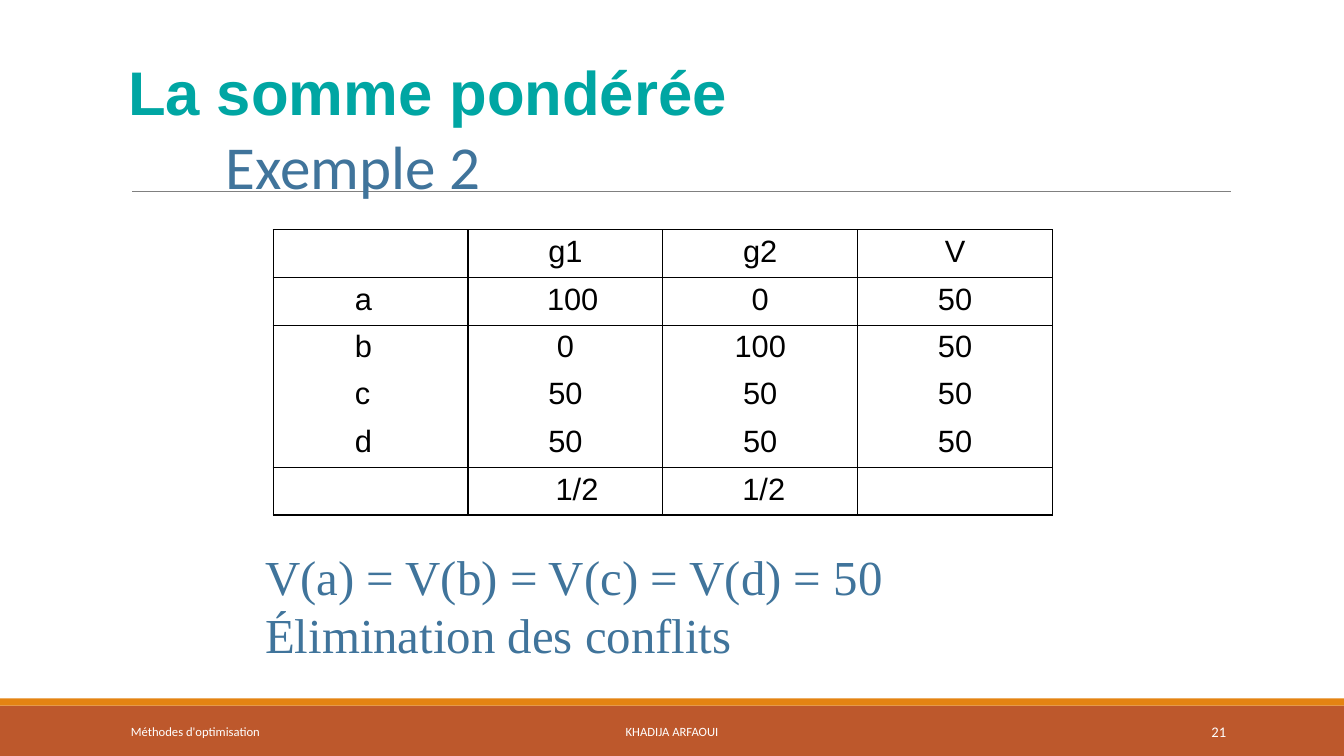
import lxml.etree
import pptx
import pptx.dml.color
import pptx.enum.shapes
import pptx.enum.text
import pptx.oxml.ns
import pptx.util
from dataclasses import dataclass

PX = 9144  # 100 px to the inch
ALIGN = pptx.enum.text.PP_ALIGN
ANCHOR = pptx.enum.text.MSO_ANCHOR
qn = pptx.oxml.ns.qn


@dataclass(frozen=True)
class Theme:
    teal: str = "00A6A3"
    blue: str = "40749B"
    rust: str = "BD582C"
    orange: str = "E48312"
    grey: str = "808080"
    black: str = "000000"
    white: str = "FFFFFF"
    sans: str = "Arial"
    humanist: str = "Calibri"
    serif: str = "Times New Roman"
    title_size: float = 44
    subtitle_size: float = 43.6
    table_size: float = 22
    conclusion_size: float = 34.9
    footer_size: float = 9
    number_size: float = 10.5


THEME = Theme()

SCORES = [
    ["", "g1", "g2", "V"],
    ["a", "100", "0", "50"],
    ["b", "0", "100", "50"],
    ["c", "50", "50", "50"],
    ["d", "50", "50", "50"],
    ["", "1/2", "1/2", ""],
]
ROW_HEIGHTS = [47, 48, 47, 47, 47, 47]
RULED_BELOW = {0, 1, 4, 5}
RIGHT_ALIGNED = {(1, 1), (5, 1)}


def px(*lengths):
    return [pptx.util.Emu(length * PX) for length in lengths]


def rgb(color):
    return pptx.dml.color.RGBColor.from_string(color)


def format_runs(paragraph, font, size, color, bold=False):
    for run in paragraph.runs:
        run.font.name = font
        run.font.size = pptx.util.Pt(size)
        run.font.color.rgb = rgb(color)
        run.font.bold = bold


def set_margins(target, left, top, right, bottom):
    (target.margin_left, target.margin_top,
     target.margin_right, target.margin_bottom) = px(left, top, right, bottom)


def add_bar(slide, box, color):
    bar = slide.shapes.add_shape(pptx.enum.shapes.MSO_SHAPE.RECTANGLE, *px(*box))
    bar.shadow.inherit = False
    bar.fill.solid()
    bar.fill.fore_color.rgb = rgb(color)
    bar.line.fill.background()


def add_text_box(slide, box, text):
    text_frame = slide.shapes.add_textbox(*px(*box)).text_frame
    text_frame.word_wrap = True
    text_frame.text = text
    return text_frame


def add_heading(slide, box):
    left, top, width, height = box
    # Rule under the title
    rule_y = top + 146
    rule = slide.shapes.add_connector(
        pptx.enum.shapes.MSO_CONNECTOR.STRAIGHT,
        *px(left + 199, rule_y, left + 1289, rule_y))
    rule.line.color.rgb = rgb(THEME.grey)
    rule.line.width = pptx.util.Pt(0.5)
    lxml.etree.SubElement(rule.element.spPr, qn("a:effectLst"))

    # Title in front of the rule
    title = slide.shapes.title
    title.element.getparent().append(title.element)
    title.left, title.top, title.width, title.height = px(*box)
    text_frame = title.text_frame
    text_frame.text = "La somme pondérée\vExemple 2"
    text_frame.auto_size = pptx.enum.text.MSO_AUTO_SIZE.NONE
    text_frame.vertical_anchor = ANCHOR.BOTTOM
    set_margins(text_frame, 0, 9, 0, 0)
    paragraph = text_frame.paragraphs[0]
    paragraph.alignment = ALIGN.LEFT
    paragraph.space_before = pptx.util.Pt(1)
    format_runs(paragraph, THEME.humanist, THEME.subtitle_size, THEME.blue)
    first_line = paragraph.runs[0].font
    first_line.name = THEME.sans
    first_line.size = pptx.util.Pt(THEME.title_size)
    first_line.color.rgb = rgb(THEME.teal)
    first_line.bold = True

    # Hanging indent: the second line starts further right
    properties = next(title.element.iter(qn("a:p"))).get_or_add_pPr()
    properties.set("marL", str(292 * PX))
    properties.set("indent", str(-97 * PX))


def add_border(cell_properties, side, visible):
    line = lxml.etree.SubElement(cell_properties, qn("a:ln" + side), w="12700")
    if visible:
        fill = lxml.etree.SubElement(line, qn("a:solidFill"))
        lxml.etree.SubElement(fill, qn("a:srgbClr"), val=THEME.black)
    else:
        lxml.etree.SubElement(line, qn("a:noFill"))


def add_score_table(slide, box):
    frame = slide.shapes.add_table(len(SCORES), len(SCORES[0]), *px(*box))
    table = frame.table
    table.first_row = table.horz_banding = False
    for column in table.columns:
        column.width = pptx.util.Emu(box[2] * PX // len(SCORES[0]))
    for row, height in zip(table.rows, ROW_HEIGHTS):
        row.height = pptx.util.Emu(height * PX)

    cell_elements = frame.element.iter(qn("a:tc"))
    for row, texts in enumerate(SCORES):
        for column, text in enumerate(texts):
            # Borders: every column, but not between b, c and d
            properties = next(cell_elements).get_or_add_tcPr()
            for side, visible in (("L", True), ("R", True),
                                  ("T", row == 0 or row - 1 in RULED_BELOW),
                                  ("B", row in RULED_BELOW)):
                add_border(properties, side, visible)
            cell = table.cell(row, column)
            cell.fill.background()

            # Value
            cell.text = text
            inner = 2 <= row <= 4
            left, right, alignment = 0, 0, ALIGN.CENTER
            if column == 0:
                left, alignment = 81, ALIGN.LEFT
            elif (row, column) in RIGHT_ALIGNED:
                right, alignment = 64, ALIGN.RIGHT
            elif (row, column) == (5, 2):
                left = 7
            set_margins(cell, left, 4 if inner else 5, right, 0)
            paragraph = cell.text_frame.paragraphs[0]
            paragraph.alignment = alignment
            paragraph.space_before = pptx.util.Pt(2.5 if inner else 3.3)
            format_runs(paragraph, THEME.sans, THEME.table_size, THEME.black)


def add_conclusion(slide, box):
    text_frame = add_text_box(
        slide, box, "V(a) = V(b) = V(c) = V(d) = 50\nÉlimination des conflits")
    set_margins(text_frame, 2, 2, 0, 0)
    for paragraph, space in zip(text_frame.paragraphs, (1.1, 0.1)):
        paragraph.space_before = pptx.util.Pt(space)
        format_runs(paragraph, THEME.serif, THEME.conclusion_size, THEME.blue)


def add_footer(slide, box):
    left, top, width, height = box
    add_bar(slide, (left, top + 7, width, height - 7), THEME.rust)
    add_bar(slide, (left, top, width, 7), THEME.orange)
    entries = [
        (120, 270, "Méthodes d'optimisation", ALIGN.LEFT, THEME.footer_size),
        (403, 527, "KHADIJA ARFAOUI", ALIGN.CENTER, THEME.footer_size),
        (1083, 143, "21", ALIGN.RIGHT, THEME.number_size),
    ]
    for offset, entry_width, text, alignment, size in entries:
        text_frame = add_text_box(
            slide, (left + offset, top + 13, entry_width, 40), text)
        text_frame.vertical_anchor = ANCHOR.MIDDLE
        paragraph = text_frame.paragraphs[0]
        paragraph.alignment = alignment
        format_runs(paragraph, THEME.humanist, size, THEME.white)


def main():
    presentation = pptx.Presentation()
    presentation.slide_width, presentation.slide_height = px(1333, 750)
    slide = presentation.slides.add_slide(presentation.slide_layouts[5])
    add_heading(slide, (-68, 44, 1200, 156))
    add_score_table(slide, (271, 228, 773, 283))
    add_conclusion(slide, (261, 540, 640, 119))
    add_footer(slide, (0, 693, 1333, 57))
    presentation.save("out.pptx")


if __name__ == "__main__":
    main()
